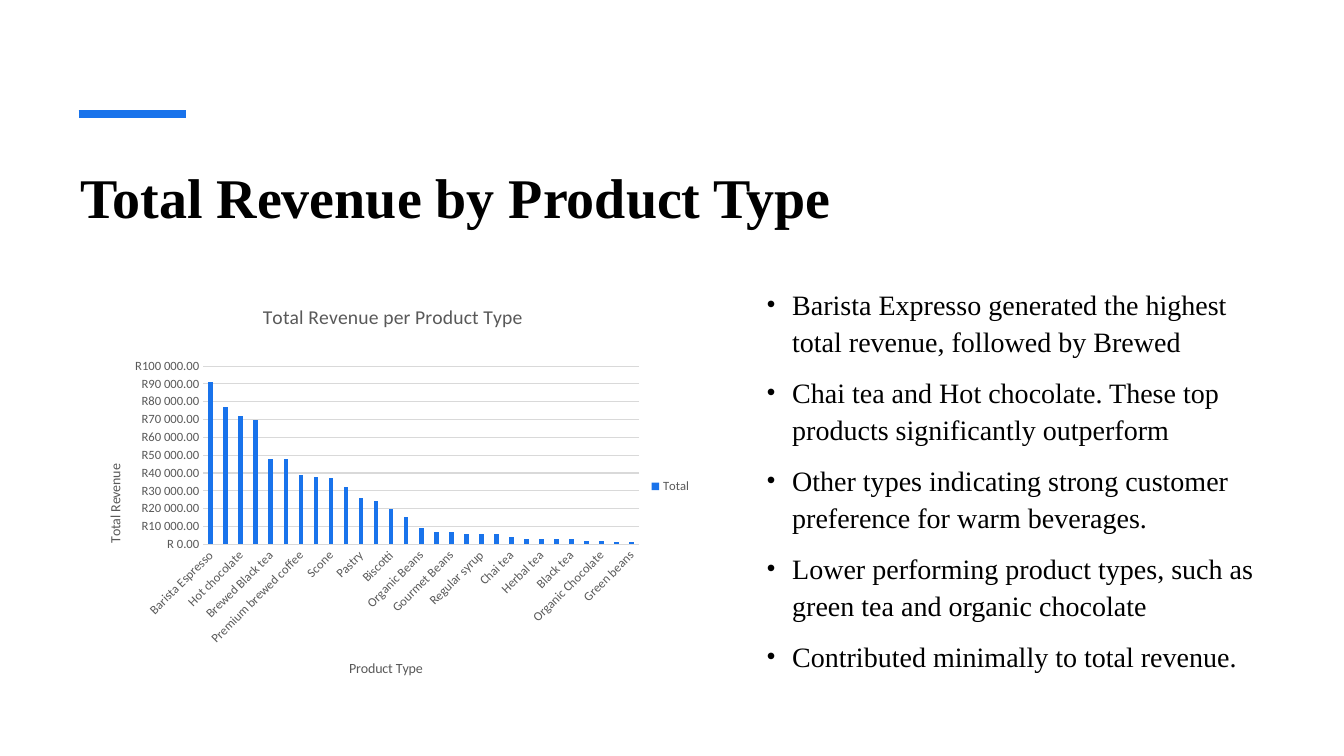
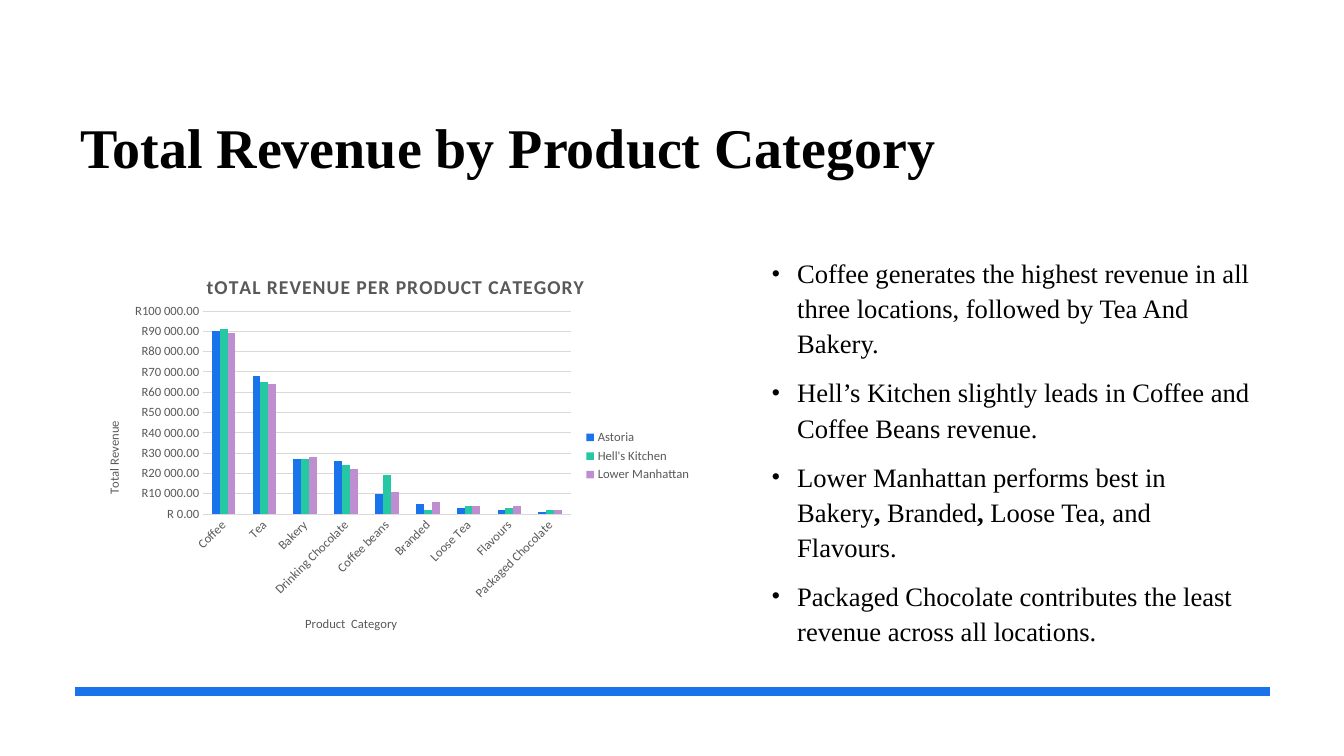
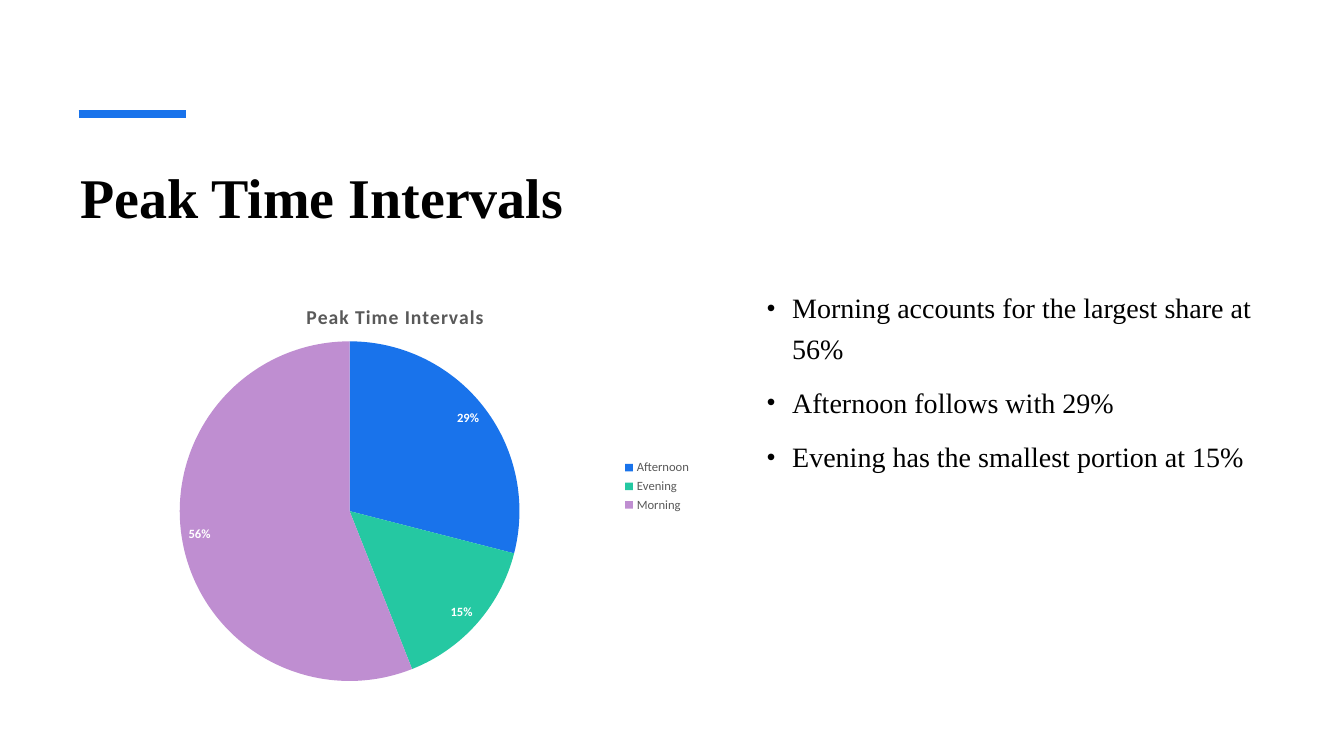
from dataclasses import dataclass

from pptx import Presentation
from pptx.chart.data import CategoryChartData
from pptx.dml.color import RGBColor
from pptx.enum.chart import XL_CHART_TYPE, XL_LABEL_POSITION, XL_LEGEND_POSITION, XL_TICK_MARK
from pptx.enum.shapes import MSO_CONNECTOR
from pptx.enum.text import MSO_ANCHOR
from pptx.oxml import parse_xml
from pptx.oxml.ns import nsdecls
from pptx.util import Inches, Pt


@dataclass(frozen=True)
class Theme:
    text_font: str = "Times New Roman"
    chart_font: str = "Calibri"
    ink: RGBColor = RGBColor(0x00, 0x00, 0x00)
    white: RGBColor = RGBColor(0xFF, 0xFF, 0xFF)
    grey: RGBColor = RGBColor(0x59, 0x59, 0x59)
    grid: RGBColor = RGBColor(0xD9, 0xD9, 0xD9)
    series: tuple = (
        RGBColor(0x19, 0x73, 0xEB),
        RGBColor(0x25, 0xC8, 0xA2),
        RGBColor(0xBF, 0x8E, 0xD1),
    )
    title_size: int = 40
    chart_title_size: int = 14
    label_size: int = 9
    bar_width: int = 6


theme = Theme()
presentation = Presentation()
presentation.slide_width, presentation.slide_height = Inches(13.33), Inches(7.5)
column = presentation.slide_width / 160
row = presentation.slide_height / 90


def set_font(font, color, **values):
    font.color.rgb = color
    for name, value in values.items():
        setattr(font, name, value)


def place_in_chart(element, index, **shares):
    """Fix a chart part at the given shares of the chart's width and height."""
    for layout in element.xpath("c:layout"):
        element.remove(layout)
    target = '<c:layoutTarget val="inner"/>' if "w" in shares else ""
    modes = "".join(f'<c:{key}Mode val="edge"/>' for key in "xy")
    values = "".join(f'<c:{key} val="{value}"/>' for key, value in shares.items())
    element.insert(index, parse_xml(
        f'<c:layout {nsdecls("c")}><c:manualLayout>{target}{modes}{values}'
        "</c:manualLayout></c:layout>"))


# Boxes are left, top, width, height in columns and rows.
accent_frame = dict(
    title_box=(8.4, 18, 142.92, 12.72),
    accent=(9.36, 22.2, 13.56),
    body_box=(90.12, 33.24, 61.2, 49.32),
    chart_box=(9.36, 33.24, 74.16, 49.32),
    body_size=20,
)
baseline_frame = dict(
    title_box=(8.4, 12, 142.32, 15.36),
    accent=(8.88, 151.2, 82.32),
    body_box=(90.72, 29.64, 59.88, 49.32),
    chart_box=(9.36, 29.64, 74.16, 49.32),
    body_size=19,
)

# Text between asterisks is bold.
slides = [
    dict(
        accent_frame,
        title="Total Revenue by Product Type",
        line_spacing=1.1,
        bullets=[
            "Barista Expresso generated the highest total revenue, followed by Brewed",
            "Chai tea and Hot chocolate. These top products significantly outperform",
            "Other types indicating strong customer preference for warm beverages.",
            "Lower performing product types, such as green tea and organic chocolate",
            "Contributed minimally to total revenue.",
        ],
        kind=XL_CHART_TYPE.COLUMN_STACKED,
        chart_title="Total Revenue per Product Type",
        title_place=dict(x=0.29, y=0.05),
        title_style=dict(bold=False),
        title_tracking=0,
        plot_place=dict(x=0.2, y=0.21, w=0.7, h=0.43),
        axis_titles=[("Product Type", dict(x=0.43, y=0.91)),
                     ("Total Revenue", dict(x=0.04, y=0.44))],
        axis_title_size=10,
        axis_line=True,
        categories=[
            "Barista Espresso", "Brewed Chai tea", "Hot chocolate", "Gourmet brewed coffee",
            "Brewed Black tea", "Brewed herbal tea", "Premium brewed coffee",
            "Organic brewed coffee", "Scone", "Drip coffee", "Pastry", "Brewed Green tea",
            "Biscotti", "Premium Beans", "Organic Beans", "Housewares", "Gourmet Beans",
            "Clothing", "Regular syrup", "Espresso Beans", "Chai tea", "House blend Beans",
            "Herbal tea", "Drinking Chocolate", "Black tea", "Sugar free syrup",
            "Organic Chocolate", "Green tea", "Green beans",
        ],
        series={"Total": [
            91000, 77000, 72000, 70000, 48000, 48000, 39000, 38000, 37000, 32000,
            26000, 24000, 20000, 15000, 9000, 7000, 7000, 6000, 6000, 6000,
            4000, 3000, 3000, 3000, 3000, 2000, 2000, 1000, 1000,
        ]},
    ),
    dict(
        baseline_frame,
        title="Total Revenue by Product Category",
        line_spacing=1.1,
        bullets=[
            "Coffee generates the highest revenue in all three locations, followed "
            "by Tea And Bakery.",
            "Hell’s Kitchen slightly leads in Coffee and Coffee Beans revenue.",
            "Lower Manhattan performs best in Bakery*, *Branded*, *Loose Tea, and Flavours.",
            "Packaged Chocolate contributes the least revenue across all locations.",
        ],
        kind=XL_CHART_TYPE.COLUMN_CLUSTERED,
        chart_title="tOTAL REVENUE PER PRODUCT CATEGORY",
        title_place=dict(x=0.2, y=0.05),
        title_style=dict(bold=True),
        title_tracking=60,
        plot_place=dict(x=0.2, y=0.15, w=0.59, h=0.49),
        axis_titles=[("Product  Category", dict(x=0.36, y=0.88)),
                     ("Total Revenue", dict(x=0.04, y=0.41))],
        axis_title_size=9,
        axis_line=False,
        categories=["Coffee", "Tea", "Bakery", "Drinking Chocolate", "Coffee beans",
                    "Branded", "Loose Tea", "Flavours", "Packaged Chocolate"],
        series={
            "Astoria": [90000, 68000, 27000, 26000, 10000, 5000, 3000, 2000, 1000],
            "Hell's Kitchen": [91000, 65000, 27000, 24000, 19000, 2000, 4000, 3000, 2000],
            "Lower Manhattan": [89000, 64000, 28000, 22000, 11000, 6000, 4000, 4000, 2000],
        },
    ),
    dict(
        accent_frame,
        title="Peak Time Intervals",
        line_spacing=1.2,
        bullets=[
            "Morning accounts for the largest share at 56%",
            "Afternoon follows with 29%",
            "Evening has the smallest portion at 15%",
        ],
        kind=XL_CHART_TYPE.PIE,
        chart_title="Peak Time Intervals",
        title_place=dict(x=0.36, y=0.05),
        title_style=dict(bold=True),
        title_tracking=60,
        plot_place=dict(x=0.16, y=0.15, w=0.55, h=0.82),
        categories=["Afternoon", "Evening", "Morning"],
        series={"Series 1": [29, 15, 56]},
    ),
]

for content in slides:
    slide = presentation.slides.add_slide(presentation.slide_layouts[6])
    title_box, body_box, chart_box = (
        [round(value * unit) for value, unit in zip(content[name], (column, row) * 2)]
        for name in ("title_box", "body_box", "chart_box"))

    # Title and bullets
    title_frame = slide.shapes.add_textbox(*title_box).text_frame
    body_frame = slide.shapes.add_textbox(*body_box).text_frame
    for frame in (title_frame, body_frame):
        frame.word_wrap = True
        frame.vertical_anchor = MSO_ANCHOR.TOP
    paragraph = title_frame.paragraphs[0]
    paragraph.line_spacing = 1.1
    run = paragraph.add_run()
    run.text = content["title"]
    set_font(run.font, theme.ink, name=theme.text_font, size=Pt(theme.title_size), bold=True)

    for index, bullet in enumerate(content["bullets"]):
        paragraph = body_frame.add_paragraph() if index else body_frame.paragraphs[0]
        paragraph.line_spacing = content["line_spacing"]
        paragraph.space_before = Pt(10)
        properties = paragraph._p.get_or_add_pPr()
        properties.set("marL", str(Inches(0.25)))
        properties.set("indent", str(-Inches(0.25)))
        for tag in ('buSzPct val="87000"', 'buFont typeface="Arial"', 'buChar char="•"'):
            properties.append(parse_xml(f'<a:{tag} {nsdecls("a")}/>'))
        for part, text in enumerate(bullet.split("*")):
            run = paragraph.add_run()
            run.text = text
            set_font(run.font, theme.ink, name=theme.text_font,
                     size=Pt(content["body_size"]), bold=part % 2 == 1)

    # Accent bar
    start, end, level = content["accent"]
    bar = slide.shapes.add_connector(
        MSO_CONNECTOR.STRAIGHT, round(start * column), round(level * row),
        round(end * column), round(level * row))
    bar.line.color.rgb = theme.series[0]
    bar.line.width = Pt(theme.bar_width)
    bar._element.spPr.append(parse_xml(f'<a:effectLst {nsdecls("a")}/>'))

    # Chart
    data = CategoryChartData()
    data.categories = content["categories"]
    for name, values in content["series"].items():
        data.add_series(name, values)
    chart = slide.shapes.add_chart(content["kind"], *chart_box, data).chart
    set_font(chart.font, theme.grey, name=theme.chart_font, size=Pt(theme.label_size))
    place_in_chart(chart._chartSpace.chart.plotArea, 0, **content["plot_place"])
    chart.has_legend = True
    chart.legend.position = XL_LEGEND_POSITION.RIGHT
    chart.legend.include_in_layout = False
    set_font(chart.legend.font, theme.grey, name=theme.chart_font, size=Pt(theme.label_size))

    titles = [(chart, "chart_title", content["chart_title"], content["title_place"],
               theme.chart_title_size, content["title_style"]["bold"])]
    if "axis_titles" in content:
        for axis, (text, place) in zip((chart.category_axis, chart.value_axis),
                                       content["axis_titles"]):
            titles.append((axis, "axis_title", text, place, content["axis_title_size"], False))
    for owner, attribute, text, place, size, bold in titles:
        heading = getattr(owner, attribute)
        run = heading.text_frame.paragraphs[0].add_run()
        run.text = text
        set_font(run.font, theme.grey, name=theme.chart_font, size=Pt(size), bold=bold)
        if owner is chart:
            run.font._element.set("spc", str(content["title_tracking"]))
        elif owner is chart.value_axis or text.startswith("Total"):
            heading.text_frame._txBody.bodyPr.set("rot", "-5400000")
        place_in_chart(heading._element, 1, **place)

    plot = chart.plots[0]
    if content["kind"] == XL_CHART_TYPE.PIE:
        plot.vary_by_categories = True
        fills = [plot.series[0].points[index].format.fill for index in range(3)]
        plot.has_data_labels = True
        labels = plot.data_labels
        for name, value in dict(show_percentage=True, show_value=False, number_format="0%",
                                number_format_is_linked=False,
                                position=XL_LABEL_POSITION.INSIDE_END).items():
            setattr(labels, name, value)
        set_font(labels.font, theme.white, name=theme.chart_font,
                 size=Pt(theme.label_size), bold=True)
    else:
        plot.vary_by_categories = False
        plot.gap_width = 219
        plot.overlap = 100 if content["kind"] == XL_CHART_TYPE.COLUMN_STACKED else 0
        fills = [series.format.fill for series in plot.series]
        category_axis, value_axis = chart.category_axis, chart.value_axis
        for axis in (category_axis, value_axis):
            axis.major_tick_mark = axis.minor_tick_mark = XL_TICK_MARK.NONE
            axis.format.line.fill.background()
            set_font(axis.tick_labels.font, theme.grey, name=theme.chart_font,
                     size=Pt(theme.label_size))
        category_axis._element.xpath("c:txPr/a:bodyPr")[0].set("rot", "-2700000")
        value_axis.minimum_scale, value_axis.maximum_scale = 0, 100000
        value_axis.major_unit = 10000
        value_axis.tick_labels.number_format = r'"R"#\ ##0.00'
        value_axis.tick_labels.number_format_is_linked = False
        lines = [value_axis.major_gridlines.format.line]
        if content["axis_line"]:
            lines.append(category_axis.format.line)
        for line in lines:
            line.color.rgb = theme.grid
            line.width = Pt(0.75)
    for fill, color in zip(fills, theme.series):
        fill.solid()
        fill.fore_color.rgb = color

presentation.save("out.pptx")
